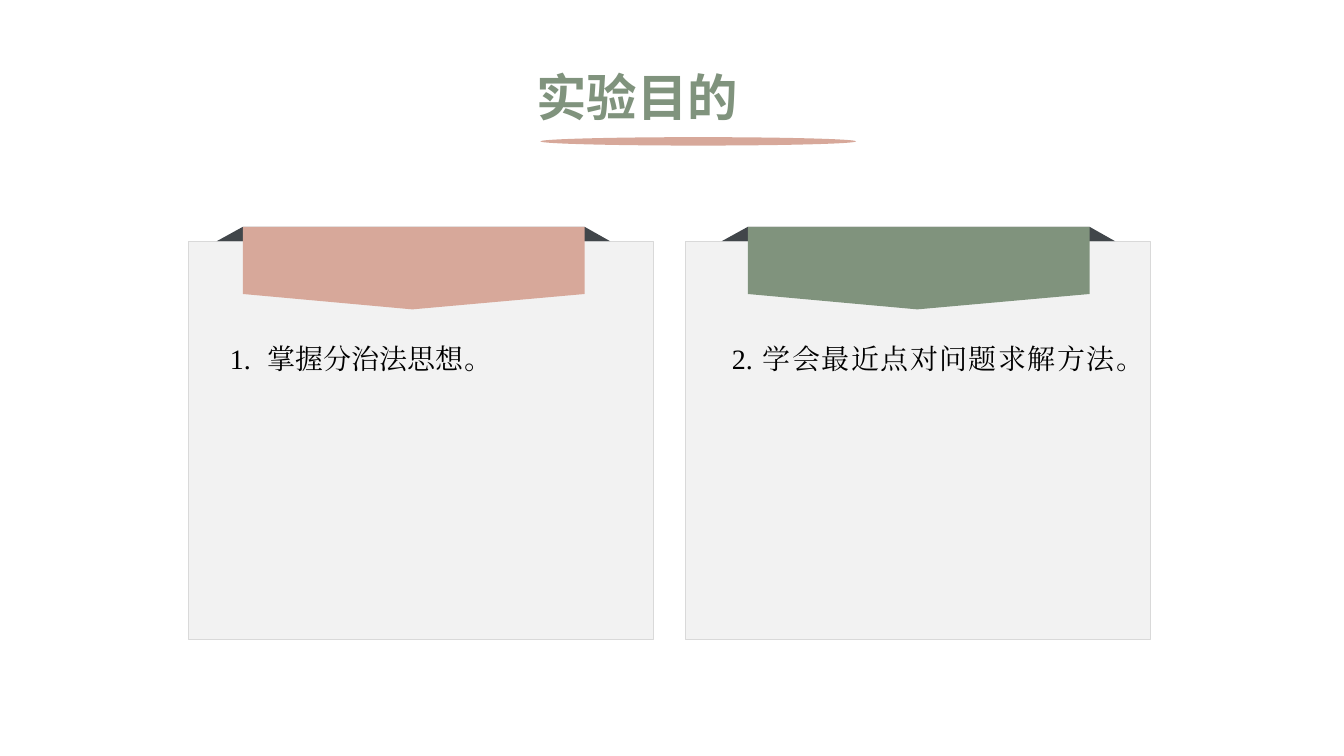
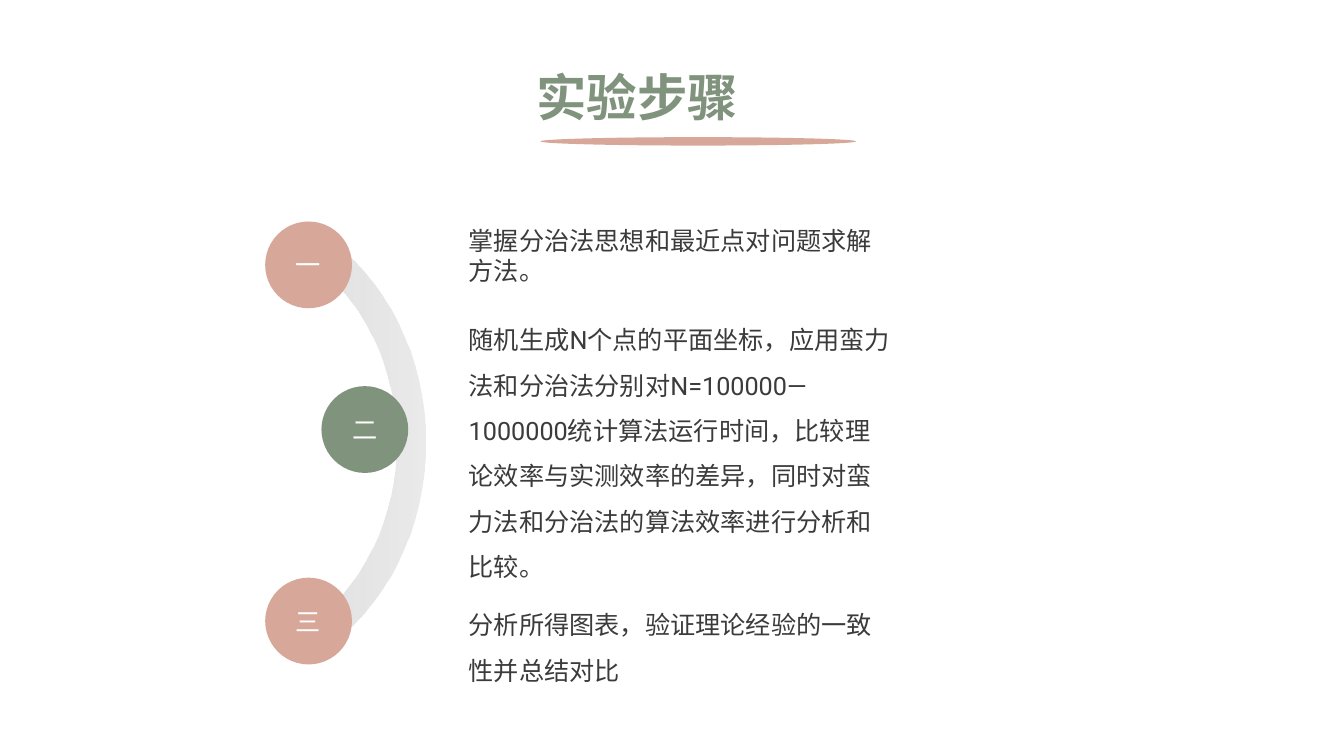
from dataclasses import dataclass

from lxml.etree import SubElement
from pptx import Presentation
from pptx.dml.color import RGBColor as RGB
from pptx.enum.shapes import MSO_SHAPE as Geo
from pptx.enum.text import MSO_ANCHOR as Anchor, MSO_AUTO_SIZE as Fit, PP_ALIGN as Align
from pptx.oxml.ns import qn
from pptx.util import Pt


@dataclass(frozen=True)
class Theme:
    green: str = "80937D"
    rose: str = "D7A89A"
    slate: str = "41464A"
    card: str = "F2F2F2"
    edge: str = "D9D9D9"
    ink: str = "3B3B3B"
    black: str = "000000"
    white: str = "FFFFFF"
    sans: str = "Noto Sans CJK SC"
    serif: str = "Times New Roman"
    text: str = "Roboto"
    head: int = 36
    list: int = 20
    note: int = 18


T = Theme()

TWO_BODY = 3
FOUR_BODY = 4


def color(code):
    return RGB.from_string(code)


def write(frame, text, face, size, ink, align, lead=1, after=0, bold=False, number=False):
    """Fill a text frame with one paragraph, numbered or without a bullet."""
    frame.word_wrap = True
    frame.auto_size = Fit.NONE
    para = frame.paragraphs[0]
    para.text = text
    para.alignment = align
    para.line_spacing = lead
    para.space_before = Pt(0)
    para.space_after = Pt(after)

    props = para._p.get_or_add_pPr()
    hang = Pt(27) if number else 0
    props.set("marL", str(hang))
    props.set("indent", str(-hang))
    if number:
        SubElement(props, qn("a:buFont"), typeface=T.sans)
        SubElement(props, qn("a:buAutoNum"), type="arabicPeriod")
    else:
        SubElement(props, qn("a:buNone"))

    font = para.font
    font.name, font.size, font.bold = face, Pt(size), bold
    font.color.rgb = color(ink)
    SubElement(props.find(qn("a:defRPr")), qn("a:ea"), typeface=face)


def place(holder, left, top, width, height):
    """Move a placeholder and bring it to the front."""
    holder.left, holder.top = Pt(left), Pt(top)
    holder.width, holder.height = Pt(width), Pt(height)
    holder.text_frame.vertical_anchor = Anchor.TOP
    holder.element.getparent().append(holder.element)
    return holder.text_frame


def paint(shape, fill, line=None):
    shape.shadow.inherit = False
    shape.fill.solid()
    shape.fill.fore_color.rgb = color(fill)
    if line:
        shape.line.color.rgb = color(line)
        shape.line.width = Pt(0.75)
    else:
        shape.line.fill.background()
    return shape


def draw(slide, geo, left, top, width, height):
    return slide.shapes.add_shape(geo, Pt(left), Pt(top), Pt(width), Pt(height))


def trace(slide, points, fill):
    """Draw a closed outline through the points."""
    start, *rest = [(Pt(x), Pt(y)) for x, y in points]
    pen = slide.shapes.build_freeform(*start, scale=1.0)
    pen.add_line_segments(rest, close=True)
    paint(pen.convert_to_shape(), fill)


def start(deck, layout, title):
    """Add a slide with its title and the underline."""
    slide = deck.slides.add_slide(deck.slide_layouts[layout])
    paint(draw(slide, Geo.OVAL, 386, 98, 225.5, 6), T.rose)
    frame = place(slide.shapes.title, 376, 47.5, 244, 51)
    frame.margin_top = 0
    write(frame, title, T.sans, T.head, T.green, Align.JUSTIFY, bold=True)
    return slide


def banner(slide, left, fill):
    """Draw a pointed ribbon with its dark folded ends."""
    top, fold = 162, 172.3
    near, mid, far, end = left + 18.7, left + 139.7, left + 262.8, left + 281
    trace(slide, [(near, top), (far, top), (end, fold), (left, fold)], T.slate)
    trace(slide, [(near, top), (far, top), (far, 210), (mid, 221), (near, 210)], fill)


def goals(deck):
    slide = start(deck, TWO_BODY, "实验目的")
    cards = [
        (134.7, 154.8, 157, T.rose, "掌握分治法思想。", True),
        (489.7, 515.5, 515.5, T.green, "2. 学会最近点对问题求解方法。", False),
    ]
    for spot, (left, fold, inset, fill, text, number) in enumerate(cards, 1):
        paint(draw(slide, Geo.RECTANGLE, left, 172.6, 332, 284.4), T.card, T.edge)
        banner(slide, fold, fill)
        frame = place(slide.placeholders[spot], inset, 234, 289, 34.5)
        write(frame, text, T.serif, T.list, T.black, Align.JUSTIFY,
              lead=1.25, number=number)


def arc(slide):
    shape = paint(draw(slide, Geo.BLOCK_ARC, -16.6, 167.8, 344, 296.6), T.edge)
    shape.rotation = 90
    for spot, value in enumerate((123.57, 201.63, 0.07)):
        shape.adjustments[spot] = value
    shape.fill.gradient()
    shape.fill.gradient_angle = 270
    for stop, code in zip(shape.fill.gradient_stops, (T.edge, T.white)):
        stop.color.rgb = color(code)
    first = next(shape.element.spPr.iter(qn("a:srgbClr")))
    SubElement(first, qn("a:alpha"), val="51000")


def badge(slide, left, top, fill, text):
    shape = paint(draw(slide, Geo.OVAL, left, top, 62, 62), fill)
    frame = shape.text_frame
    frame.vertical_anchor = Anchor.MIDDLE
    write(frame, text, T.sans, T.note, T.white, Align.CENTER)


def steps(deck):
    slide = start(deck, FOUR_BODY, "实验步骤")
    arc(slide)
    notes = [
        (157, 51, 1, "掌握分治法思想和最近点对问题求解方法。"),
        (217.5, 199.5, 1.5, "随机生成N个点的平面坐标，应用蛮力法和分治法分别对"
         "N=100000—1000000统计算法运行时间，比较理论效率与实测效率的差异，"
         "同时对蛮力法和分治法的算法效率进行分析和比较。"),
        (421, 104.5, 1.5, "分析所得图表，验证理论经验的一致性并总结对比"),
    ]
    for spot, (top, height, lead, text) in enumerate(notes, 1):
        frame = place(slide.placeholders[spot], 327.6, top, 317, height)
        write(frame, text, T.text, T.note, T.ink, Align.LEFT, lead=lead, after=12)
    spare = slide.placeholders[4].element
    spare.getparent().remove(spare)

    badge(slide, 189.4, 158.2, T.rose, "一")
    badge(slide, 229.6, 275.8, T.green, "二")
    badge(slide, 189.4, 412.6, T.rose, "三")


def main():
    deck = Presentation()
    deck.slide_width, deck.slide_height = Pt(960), Pt(540)
    goals(deck)
    steps(deck)
    deck.save("out.pptx")


if __name__ == "__main__":
    main()
